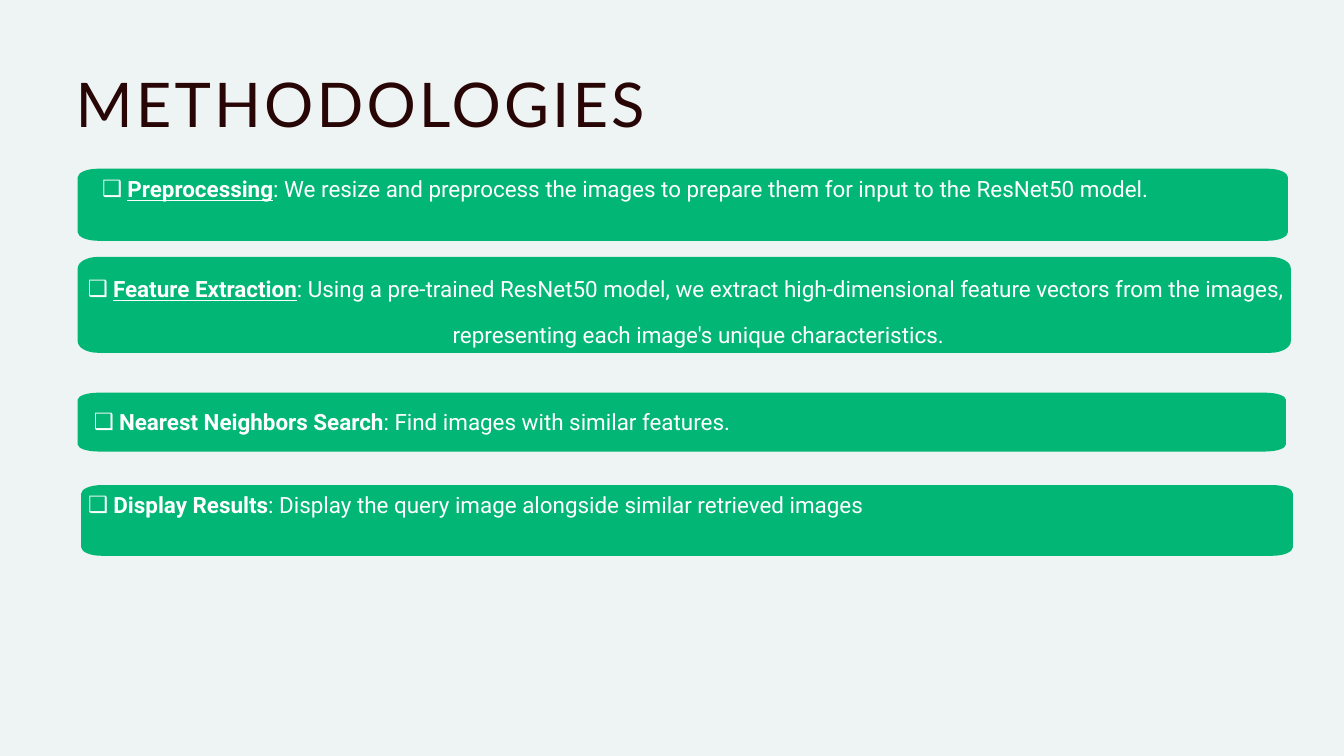
from dataclasses import dataclass

import pptx
import pptx.dml.color
import pptx.enum.text
import pptx.util
from lxml import etree
from pptx.oxml.ns import qn

EMU_PER_PX = 9525  # 96 px to the inch
SLIDE_WIDTH, SLIDE_HEIGHT = 1920, 1080
CURVE = 0.55  # control point distance for a quarter ellipse

ALIGN = pptx.enum.text.PP_ALIGN
ANCHOR = pptx.enum.text.MSO_ANCHOR


@dataclass(frozen=True)
class Theme:
    background: str = "EEF4F3"
    card: str = "02B676"
    title: str = "290606"
    body: str = "FFFFFF"
    title_font: str = "Lato"
    body_font: str = "Roboto"
    title_size: int = 66
    body_size: int = 24
    title_leading: int = 70
    tight_leading: float = 15.8
    loose_leading: int = 49
    title_tracking: int = 340  # hundredths of a point


def px(length):
    return pptx.util.Emu(round(length * EMU_PER_PX))


def rgb(value):
    return pptx.dml.color.RGBColor.from_string(value)


class SlideBuilder:
    def __init__(self, slide, theme):
        self.slide = slide
        self.theme = theme
        slide.background.fill.solid()
        slide.background.fill.fore_color.rgb = rgb(theme.background)

    def card(self, left, top, width, height):
        """A rectangle whose corners are wide, flat quarter ellipses."""
        radius_x, radius_y = 29, 0.12 * height
        right, bottom = left + width, top + height
        points = [
            (left + radius_x, top), (right - radius_x, top),
            (right, top + radius_y), (right, bottom - radius_y),
            (right - radius_x, bottom), (left + radius_x, bottom),
            (left, bottom - radius_y), (left, top + radius_y),
        ]
        outline = [(px(x), px(y)) for x, y in points]
        builder = self.slide.shapes.build_freeform(*outline[0])
        builder.add_line_segments(outline[1:] + outline[:1], close=False)
        shape = builder.convert_to_shape()
        self.round_corners(shape, points, (left, top, right, bottom))
        shape.shadow.inherit = False
        shape.fill.solid()
        shape.fill.fore_color.rgb = rgb(self.theme.card)
        shape.line.fill.background()
        return shape

    def round_corners(self, shape, points, bounds):
        """Turn every second side of the outline into a curve."""
        left, top, right, bottom = bounds
        corners = [(right, top), (right, bottom), (left, bottom), (left, top)]
        outline = next(shape._element.iter(qn("a:path")))
        sides = outline.findall(qn("a:lnTo"))[1::2]
        for index, (side, corner) in enumerate(zip(sides, corners)):
            start = points[2 * index + 1]
            end = points[(2 * index + 2) % len(points)]
            side_curve = etree.Element(qn("a:cubicBezTo"))
            controls = [tuple(p + CURVE * (c - p) for p, c in zip(point, corner))
                        for point in (start, end)]
            for x, y in (*controls, end):
                point = etree.SubElement(side_curve, qn("a:pt"))
                point.set("x", str(px(x - left)))
                point.set("y", str(px(y - top)))
            outline.replace(side, side_curve)
        etree.SubElement(outline, qn("a:close"))

    def text_box(self, left, top, width, height):
        return self.slide.shapes.add_textbox(px(left), px(top), px(width), px(height))

    def frame(self, shape, insets, anchor=ANCHOR.TOP):
        text_frame = shape.text_frame
        text_frame.word_wrap = True
        text_frame.vertical_anchor = anchor
        (text_frame.margin_left, text_frame.margin_top,
         text_frame.margin_right, text_frame.margin_bottom) = map(px, insets)
        return text_frame

    def style_run(self, run, font, size, color):
        run.font.name = font
        run.font.size = pptx.util.Pt(size)
        run.font.color.rgb = rgb(color)

    def title(self, text, left, top, width, height):
        theme = self.theme
        text_frame = self.frame(self.text_box(left, top, width, height), (0, 0, 0, 0))
        text_frame.text = text
        paragraph = text_frame.paragraphs[0]
        paragraph.line_spacing = pptx.util.Pt(theme.title_leading)
        run = paragraph.runs[0]
        self.style_run(run, theme.title_font, theme.title_size, theme.title)
        run.font._element.set("spc", str(theme.title_tracking))

    def step(self, shape, name, description, leading, insets,
             anchor=ANCHOR.TOP, align=ALIGN.LEFT, underline=False):
        """A bulleted line: bold step name, then its description."""
        theme = self.theme
        paragraph = self.frame(shape, insets, anchor).paragraphs[0]
        paragraph.alignment = align
        paragraph.line_spacing = pptx.util.Pt(leading)
        for text, is_name in ((name, True), (": " + description, False)):
            run = paragraph.add_run()
            run.text = text
            self.style_run(run, theme.body_font, theme.body_size, theme.body)
            run.font.bold = is_name
            run.font.underline = is_name and underline
        properties = paragraph._p.get_or_add_pPr()
        properties.set("marL", str(px(36)))
        properties.set("indent", str(-px(36)))
        etree.SubElement(properties, qn("a:buFont")).set("typeface", "Arial")
        etree.SubElement(properties, qn("a:buChar")).set("char", "❑")


def main():
    theme = Theme()
    presentation = pptx.Presentation()
    presentation.slide_width = px(SLIDE_WIDTH)
    presentation.slide_height = px(SLIDE_HEIGHT)
    slide = presentation.slides.add_slide(presentation.slide_layouts[6])
    builder = SlideBuilder(slide, theme)

    # The deeper bottom inset lifts loosely set text by half a line
    loose_insets = (6, 6, 6, 70)

    # Card behind the preprocessing step
    builder.card(111, 241, 1729, 103)

    # Feature extraction
    builder.card(111, 367, 1733, 137)
    builder.step(builder.text_box(113, 373, 1733, 182), "Feature Extraction",
                 "Using a pre-trained ResNet50 model, we extract high-dimensional "
                 "feature vectors from the images, representing each image's "
                 "unique characteristics.",
                 theme.loose_leading, loose_insets, ANCHOR.MIDDLE, ALIGN.CENTER, True)

    # Nearest neighbors search
    builder.card(111, 561, 1726, 84)
    builder.step(builder.text_box(128, 573, 1726, 95), "Nearest Neighbors Search",
                 "Find images with similar features.",
                 theme.loose_leading, loose_insets, ANCHOR.MIDDLE)

    # Title
    builder.title("METHODOLOGIES", 108, 107, 852, 94)

    # Preprocessing
    builder.step(builder.text_box(136, 263, 1568, 36), "Preprocessing",
                 "We resize and preprocess the images to prepare them for input "
                 "to the ResNet50 model.",
                 theme.tight_leading, (10, 5, 10, 5), underline=True)

    # Display results, written inside its card
    builder.step(builder.card(116, 693, 1731, 101), "Display Results",
                 "Display the query image alongside similar retrieved images",
                 theme.tight_leading, (10, 26, 10, 5))

    presentation.save("out.pptx")


if __name__ == "__main__":
    main()
